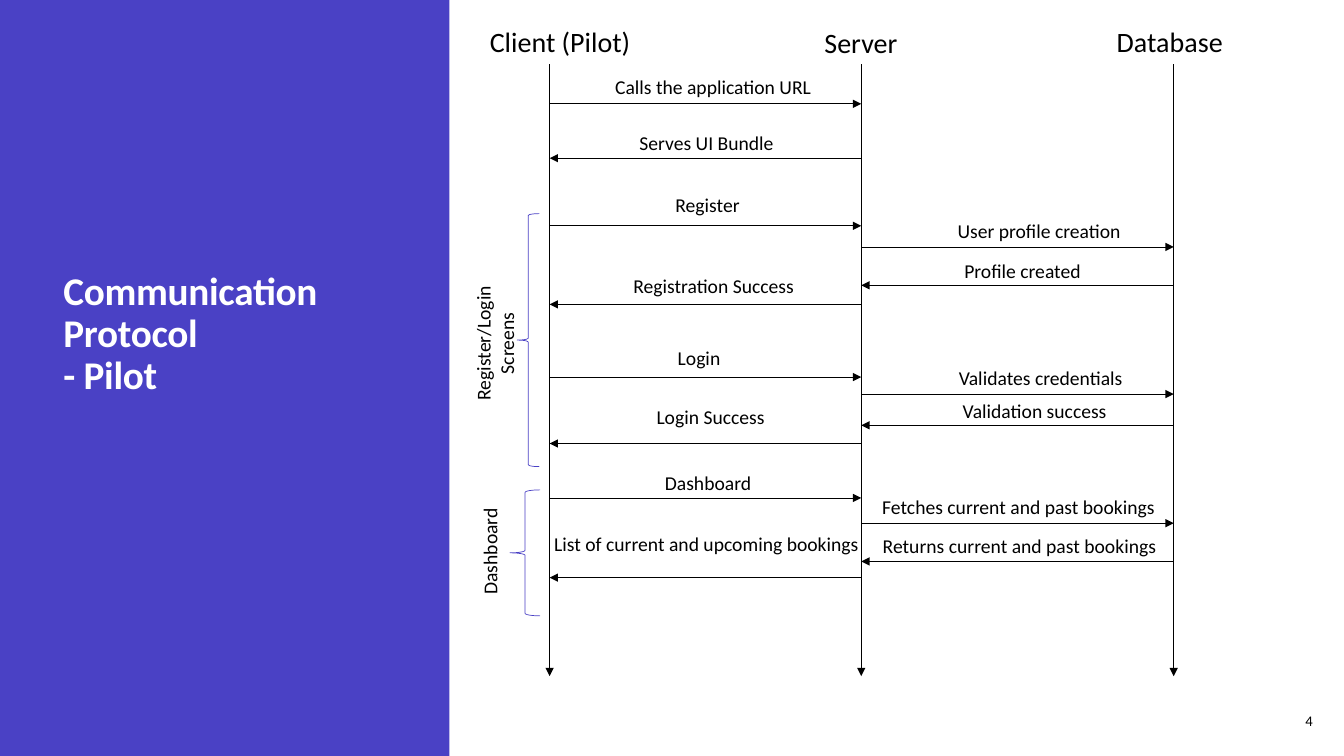
from dataclasses import dataclass

from lxml import etree
from pptx import Presentation
from pptx.dml.color import RGBColor
from pptx.enum import shapes, text
from pptx.oxml import ns
from pptx.util import Pt


@dataclass(frozen=True)
class Theme:
    accent: RGBColor = RGBColor(0x4A, 0x41, 0xC5)
    ink: RGBColor = RGBColor(0, 0, 0)
    paper: RGBColor = RGBColor(255, 255, 255)
    font: str = "Calibri"
    title: float = 28
    head: float = 20
    label: float = 14
    note: float = 10.5
    line: float = 0.5


@dataclass(frozen=True)
class Actor:
    name: str
    axis: float
    left: float
    top: float


@dataclass(frozen=True)
class Message:
    words: str
    start: int
    end: int
    level: float
    mid: float
    top: float


@dataclass(frozen=True)
class Phase:
    words: str
    left: float
    top: float
    width: float
    height: float
    mid: tuple[float, float]


THEME = Theme()
ACTORS = [
    Actor("Client (Pilot)", 392.6, 342.8, 13.7),
    Actor("Server", 615.2, 581.8, 14.4),
    Actor("Database", 838.4, 790.6, 13.7),
]
MESSAGES = [
    Message("Calls the application URL", 0, 1, 74.2, 509.4, 49.7),
    Message("Serves UI Bundle", 1, 0, 113, 504.7, 90),
    Message("Register", 0, 1, 161.3, 505.4, 134.6),
    Message("User profile creation", 1, 2, 176.4, 742.3, 152.6),
    Message("Profile created", 2, 1, 203.8, 730.4, 181.4),
    Message("Registration Success", 1, 0, 217.4, 509.8, 192.2),
    Message("Login", 0, 1, 269.3, 499.3, 243.4),
    Message("Validates credentials", 1, 2, 281.5, 743.4, 257.8),
    Message("Validation success", 2, 1, 303.8, 739.1, 281.5),
    Message("Login Success", 1, 0, 316.8, 507.6, 285.8),
    Message("Dashboard", 0, 1, 355.7, 505.8, 332.6),
    Message("Fetches current and past bookings", 1, 2, 373.7, 727.6, 349.9),
    Message("Returns current and past bookings", 2, 1, 401, 728.3, 378),
    Message("List of current and upcoming bookings", 1, 0, 412.6, 504.7, 376.6),
]
PHASES = [
    Phase("Register/Login\nScreens", 369.4, 152.6, 15.8, 180.7, (353.5, 245.2)),
    Phase("Dashboard", 364.3, 349.9, 21.6, 90, (349.9, 393.8)),
]


def write(slide, words: str, left: float, top: float, width: float, height: float, *,
          size: float = THEME.label, color: RGBColor = THEME.ink, bold: bool = False,
          align=text.PP_ALIGN.LEFT, anchor=text.MSO_ANCHOR.TOP,
          turn: float = 0, space: float = 1, track: int = 0) -> None:
    """Add a text box, one paragraph for each line of words."""
    box = slide.shapes.add_textbox(Pt(left), Pt(top), Pt(width), Pt(height))
    box.rotation = turn
    frame = box.text_frame
    frame.word_wrap = True
    frame.vertical_anchor = anchor
    frame.text = words
    for para in frame.paragraphs:
        para.alignment = align
        para.line_spacing = space
        for run in para.runs:
            font = run.font
            font.name, font.size, font.bold = THEME.font, Pt(size), bold
            font.color.rgb = color
            if track:
                run._r.get_or_add_rPr().set("spc", str(track))


def arrow(slide, x1: float, y1: float, x2: float, y2: float) -> None:
    """Draw a thin line with a triangle at its end."""
    link = slide.shapes.add_connector(
        shapes.MSO_CONNECTOR.STRAIGHT, Pt(x1), Pt(y1), Pt(x2), Pt(y2))
    link.line.color.rgb = THEME.ink
    link.line.width = Pt(THEME.line)
    etree.SubElement(link.line._get_or_add_ln(), ns.qn("a:tailEnd"), type="triangle")
    etree.SubElement(link._element.spPr, ns.qn("a:effectLst"))


def panel(slide) -> None:
    """Draw the coloured side panel and its title."""
    side = slide.shapes.add_shape(
        shapes.MSO_SHAPE.RECTANGLE, Pt(0), Pt(0), Pt(321), Pt(540))
    side.shadow.inherit = False
    side.fill.solid()
    side.fill.fore_color.rgb = THEME.accent
    side.line.fill.background()
    write(slide, "Communication Protocol\n- Pilot", 38.2, 170.6, 252.7, 117.4,
          size=THEME.title, color=THEME.paper, bold=True,
          anchor=text.MSO_ANCHOR.BOTTOM, space=0.9, track=-20)


def actor(slide, item: Actor) -> None:
    """Draw an actor's name and lifeline."""
    write(slide, item.name, item.left, item.top, 130, 31.7, size=THEME.head)
    arrow(slide, item.axis, 46, item.axis, 483)


def message(slide, item: Message) -> None:
    """Draw an arrow between two lifelines and its label."""
    arrow(slide, ACTORS[item.start].axis, item.level, ACTORS[item.end].axis, item.level)
    write(slide, item.words, item.mid - 120, item.top, 240, 24,
          align=text.PP_ALIGN.CENTER)


def phase(slide, item: Phase) -> None:
    """Draw a brace and its upright label."""
    brace = slide.shapes.add_shape(
        shapes.MSO_SHAPE.LEFT_BRACE, Pt(item.left), Pt(item.top),
        Pt(item.width), Pt(item.height))
    brace.shadow.inherit = False
    brace.fill.background()
    brace.line.color.rgb = THEME.accent
    brace.line.width = Pt(THEME.line)
    height = 7.2 + 17 * len(item.words.split("\n"))
    write(slide, item.words, item.mid[0] - 80, item.mid[1] - height / 2, 160, height,
          align=text.PP_ALIGN.CENTER, turn=270)


def main() -> None:
    """Build the slide and save it."""
    deck = Presentation()
    deck.slide_width, deck.slide_height = Pt(960), Pt(540)
    slide = deck.slides.add_slide(deck.slide_layouts[6])
    panel(slide)
    for item in ACTORS:
        actor(slide, item)
    for item in MESSAGES:
        message(slide, item)
    for item in PHASES:
        phase(slide, item)
    write(slide, "4", 895, 500.4, 49.7, 28.8, size=THEME.note,
          align=text.PP_ALIGN.RIGHT, anchor=text.MSO_ANCHOR.MIDDLE)
    deck.save("out.pptx")


if __name__ == "__main__":
    main()
